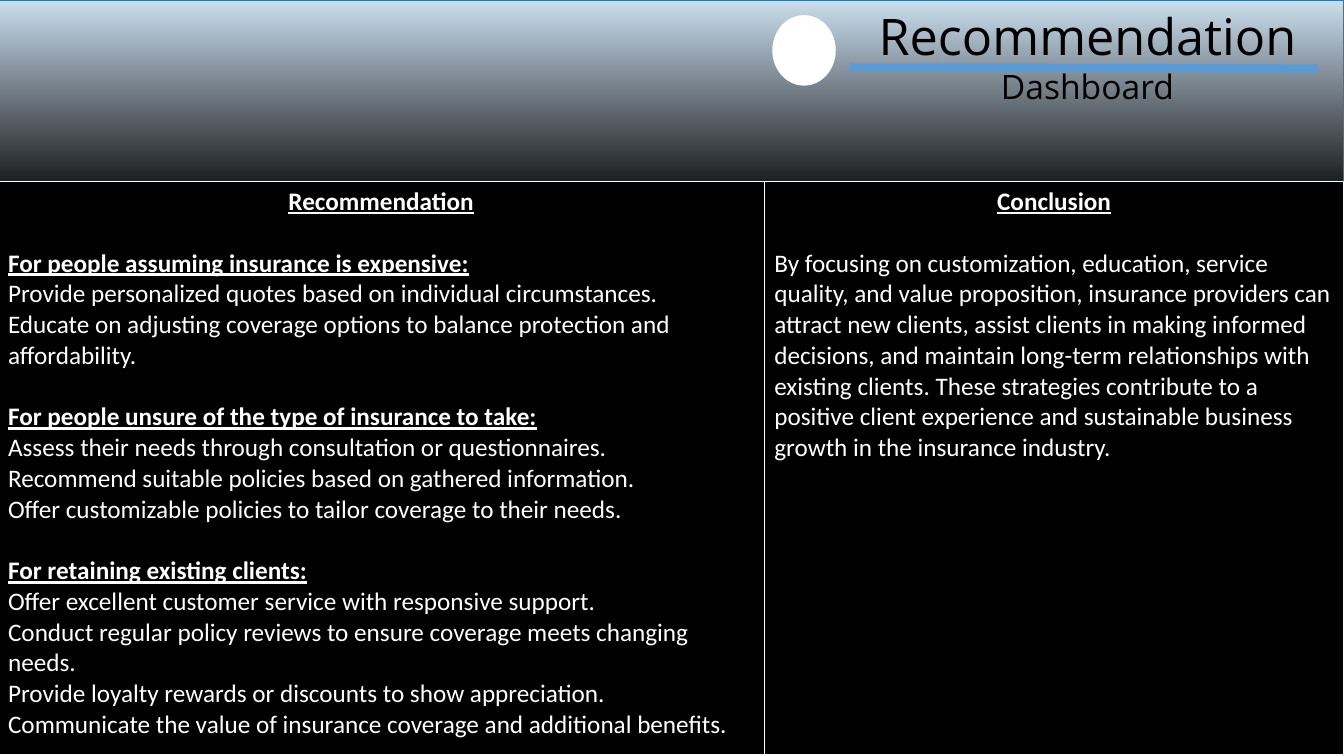
import pptx
import pptx.util
import pptx.dml.color
import pptx.enum.shapes
import pptx.enum.text
import pptx.oxml
import pptx.oxml.ns
import lxml.etree

Inches = pptx.util.Inches
Pt = pptx.util.Pt
SHAPE = pptx.enum.shapes.MSO_SHAPE
ALIGN = pptx.enum.text.PP_ALIGN
qn = pptx.oxml.ns.qn

ADVICE = [
    ("For people assuming insurance is expensive:", [
        "Provide personalized quotes based on individual circumstances.",
        "Educate on adjusting coverage options to balance protection and affordability.",
    ]),
    ("For people unsure of the type of insurance to take:", [
        "Assess their needs through consultation or questionnaires.",
        "Recommend suitable policies based on gathered information.",
        "Offer customizable policies to tailor coverage to their needs.",
    ]),
    ("For retaining existing clients:", [
        "Offer excellent customer service with responsive support.",
        "Conduct regular policy reviews to ensure coverage meets changing needs.",
        "Provide loyalty rewards or discounts to show appreciation.",
        "Communicate the value of insurance coverage and additional benefits.",
    ]),
]
CLOSING = (
    "By focusing on customization, education, service quality, and value "
    "proposition, insurance providers can attract new clients, assist clients in "
    "making informed decisions, and maintain long-term relationships with existing "
    "clients. These strategies contribute to a positive client experience and "
    "sustainable business growth in the insurance industry."
)
GAP = 22  # one line of 18 pt text


def color(code):
    return pptx.dml.color.RGBColor.from_string(code)


def add_shape(slide, kind, left, top, width, height):
    shape = slide.shapes.add_shape(
        kind, Inches(left), Inches(top), Inches(width), Inches(height))
    shape.shadow.inherit = False
    return shape


def add_backdrop(slide):
    panel = add_shape(slide, SHAPE.RECTANGLE, -0.02, 0, 13.35, 7.6)
    panel.line.color.rgb = color("2E75B6")
    panel.line.width = Pt(1)
    panel.fill.gradient()
    panel.fill.gradient_angle = 90
    stops = panel.fill.gradient_stops
    for stop, place, code in zip(stops, (0.73, 1), ("000000", "CEE1F2")):
        stop.position = place
        stop.color.rgb = color(code)
    # Slightly transparent dark end
    dark = panel._element.spPr.find(".//" + qn("a:srgbClr"))
    lxml.etree.SubElement(dark, qn("a:alpha"), val="97000")
    slide.shapes.title._element.addprevious(panel._element)


def add_title(slide):
    title = slide.shapes.title
    title.left, title.top = Inches(8.24), Inches(0)
    title.width, title.height = Inches(5.09), Inches(1.27)
    frame = title.text_frame
    frame.text = "Recommendation\nDashboard"
    frame.word_wrap = True
    frame.auto_size = pptx.enum.text.MSO_AUTO_SIZE.NONE
    frame.vertical_anchor = pptx.enum.text.MSO_ANCHOR.TOP
    for para, size in zip(frame.paragraphs, (36, 24)):
        para.alignment = ALIGN.CENTER
        para.font.name = "Open Sans"
        para.font.size = Pt(size)
        para.font.color.rgb = color("000000")


def add_dot(slide):
    dot = add_shape(slide, SHAPE.OVAL, 7.66, 0.15, 0.63, 0.7)
    dot.fill.solid()
    dot.fill.fore_color.rgb = color("FFFFFF")
    dot.line.fill.background()


def add_rule(slide):
    rule = slide.shapes.add_connector(
        pptx.enum.shapes.MSO_CONNECTOR.STRAIGHT,
        Inches(8.43), Inches(0.67), Inches(13.07), Inches(0.68))
    rule.line.color.rgb = color("5B9BD5")
    rule.line.width = Pt(6)
    lxml.etree.SubElement(rule._element.spPr, qn("a:effectLst"))


def style_cell(cell):
    cell.fill.solid()
    cell.fill.fore_color.rgb = color("000000")
    props = cell._tc.get_or_add_tcPr()
    # Borders come before the fill
    for spot, (side, width) in enumerate(
            (("L", 1), ("R", 1), ("T", 1), ("B", 3))):
        edge = lxml.etree.Element(qn("a:ln" + side), w=str(Pt(width)))
        paint = lxml.etree.SubElement(edge, qn("a:solidFill"))
        lxml.etree.SubElement(paint, qn("a:srgbClr"), val="FFFFFF")
        props.insert(spot, edge)


def fill_cell(cell, lines):
    """Each line is (text, is heading, space before, alignment)."""
    style_cell(cell)
    frame = cell.text_frame
    frame.text = "\n".join(line[0] for line in lines)
    for para, (_, head, space, align) in zip(frame.paragraphs, lines):
        para.alignment = align
        para.space_before = Pt(space)
        para.font.name = "Calibri"
        para.font.size = Pt(18)
        para.font.color.rgb = color("FFFFFF")
        para.font.bold = head
        para.font.underline = head


def add_panels(slide):
    table = slide.shapes.add_table(
        1, 2, Inches(-0.02), Inches(1.8), Inches(13.35), Inches(5.7)).table
    for column, width in zip(table.columns, (7.6, 5.75)):
        column.width = Inches(width)
    advice = [("Recommendation", True, 0, ALIGN.CENTER)]
    for head, tips in ADVICE:
        advice.append((head, True, GAP, ALIGN.LEFT))
        advice += [(tip, False, 0, ALIGN.LEFT) for tip in tips]
    fill_cell(table.cell(0, 0), advice)
    fill_cell(table.cell(0, 1), [
        ("Conclusion", True, 0, ALIGN.CENTER),
        (CLOSING, False, GAP, ALIGN.LEFT),
    ])


def main():
    deck = pptx.Presentation()
    deck.slide_width, deck.slide_height = Inches(13.33), Inches(7.5)
    slide = deck.slides.add_slide(deck.slide_layouts[5])
    # Header
    add_backdrop(slide)
    add_title(slide)
    add_dot(slide)
    add_rule(slide)
    # Content
    add_panels(slide)
    deck.save("out.pptx")


if __name__ == "__main__":
    main()
